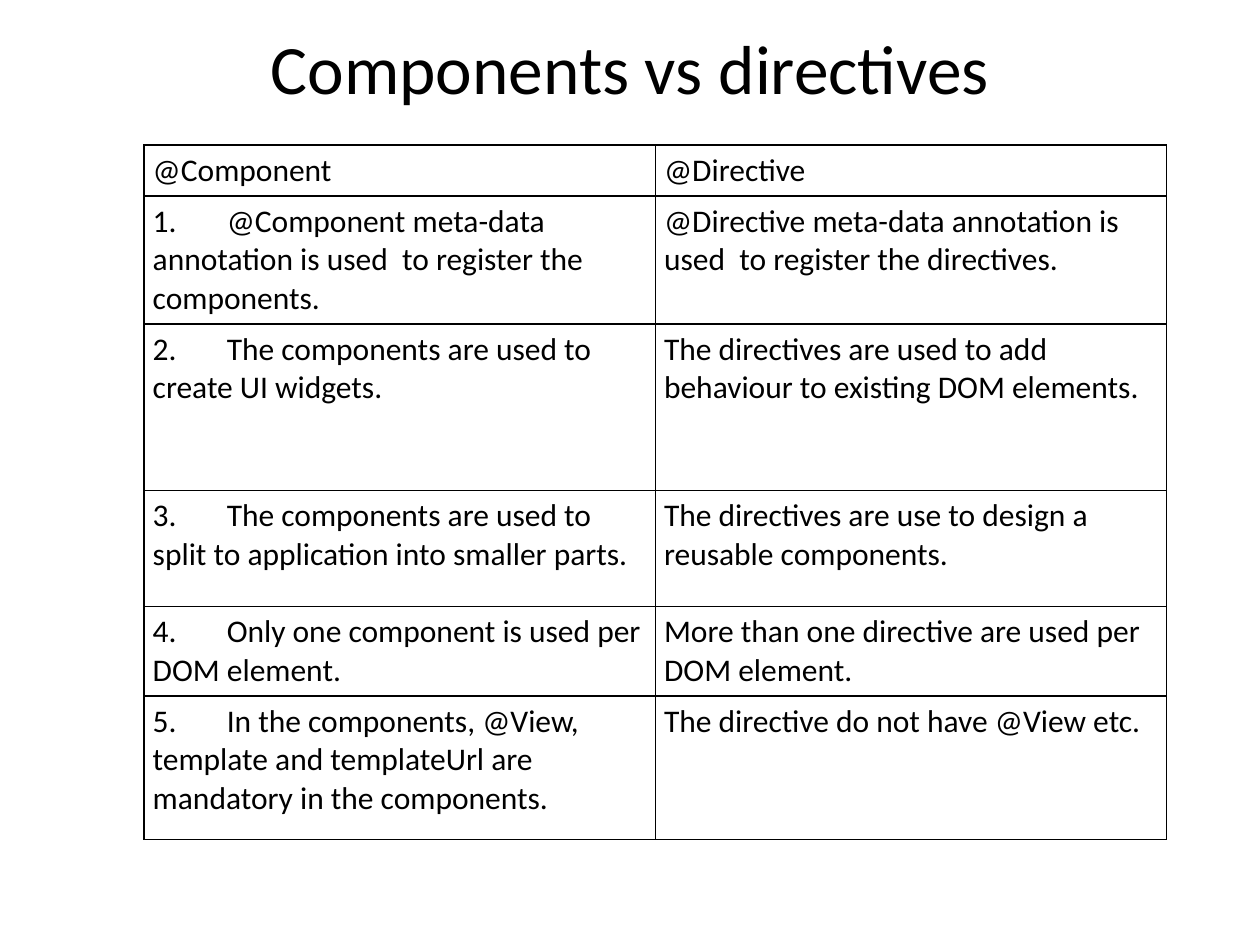
from dataclasses import dataclass

from lxml.etree import SubElement
from pptx import Presentation
from pptx.dml.color import RGBColor
from pptx.enum.text import MSO_ANCHOR, PP_ALIGN
from pptx.oxml.ns import qn
from pptx.table import _Cell
from pptx.text.text import _Paragraph
from pptx.util import Pt

COLORS = {"text": "000000", "border": "000000", "fill": "FFFFFF"}
FONT = "Calibri"
COLUMN_WIDTH = 292.2
NUMBER_TAB = 42.3


@dataclass
class ComparisonRow:
    height: float
    component: str
    directive: str


ROWS = [
    ComparisonRow(29.2, "@Component", "@Directive"),
    ComparisonRow(
        73.2,
        "@Component meta-data annotation is used  to register the components.",
        "@Directive meta-data annotation is used  to register the directives.",
    ),
    ComparisonRow(
        95.1,
        "The components are used to create UI widgets.",
        "The directives are used to add behaviour to existing DOM elements.",
    ),
    ComparisonRow(
        66.3,
        "The components are used to split to application into smaller parts.",
        "The directives are use to design a reusable components.",
    ),
    ComparisonRow(
        51.2,
        "Only one component is used per DOM element.",
        "More than one directive are used per DOM element.",
    ),
    ComparisonRow(
        82,
        "In the components, @View, template and templateUrl are mandatory in the components.",
        "The directive do not have @View etc.",
    ),
]


def format_runs(paragraph: _Paragraph, size: float) -> None:
    for run in paragraph.runs:
        run.font.name = FONT
        run.font.size = Pt(size)
        run.font.color.rgb = RGBColor.from_string(COLORS["text"])


def add_tab_stop(paragraph: _Paragraph, position: float) -> None:
    tab_list = SubElement(paragraph._p.get_or_add_pPr(), qn("a:tabLst"))
    SubElement(tab_list, qn("a:tab"), pos=str(Pt(position)), algn="l")


def add_borders(cell: _Cell) -> None:
    properties = cell._tc.get_or_add_tcPr()
    for index, side in enumerate(("a:lnL", "a:lnR", "a:lnT", "a:lnB")):
        line = properties.makeelement(qn(side), {"w": str(Pt(1))})
        fill = SubElement(line, qn("a:solidFill"))
        SubElement(fill, qn("a:srgbClr"), val=COLORS["border"])
        properties.insert(index, line)


def fill_cell(cell: _Cell, text: str, number: int = 0) -> None:
    cell.margin_left = cell.margin_right = Pt(5)
    cell.margin_top = cell.margin_bottom = Pt(3.6)
    cell.vertical_anchor = MSO_ANCHOR.TOP
    cell.fill.solid()
    cell.fill.fore_color.rgb = RGBColor.from_string(COLORS["fill"])
    add_borders(cell)
    paragraph = cell.text_frame.paragraphs[0]
    paragraph.text = f"{number}.\t{text}" if number else text
    if number:
        add_tab_stop(paragraph, NUMBER_TAB)
    format_runs(paragraph, 18)


def main() -> None:
    presentation = Presentation()
    presentation.slide_width, presentation.slide_height = Pt(720), Pt(540)
    slide = presentation.slides.add_slide(presentation.slide_layouts[5])

    title = slide.shapes.title
    title.left, title.top, title.width, title.height = Pt(36), Pt(21.6), Pt(648), Pt(33)
    title.text_frame.text = "Components vs directives"
    title.text_frame.vertical_anchor = MSO_ANCHOR.MIDDLE
    title_paragraph = title.text_frame.paragraphs[0]
    title_paragraph.alignment = PP_ALIGN.CENTER
    format_runs(title_paragraph, 39.6)

    table = slide.shapes.add_table(
        len(ROWS), 2, Pt(82.3), Pt(82.8),
        Pt(2 * COLUMN_WIDTH), Pt(sum(row.height for row in ROWS)),
    ).table
    table.first_row = table.horz_banding = False
    for column in table.columns:
        column.width = Pt(COLUMN_WIDTH)
    for index, row in enumerate(ROWS):
        table.rows[index].height = Pt(row.height)
        fill_cell(table.cell(index, 0), row.component, index)
        fill_cell(table.cell(index, 1), row.directive)

    presentation.save("out.pptx")


if __name__ == "__main__":
    main()
